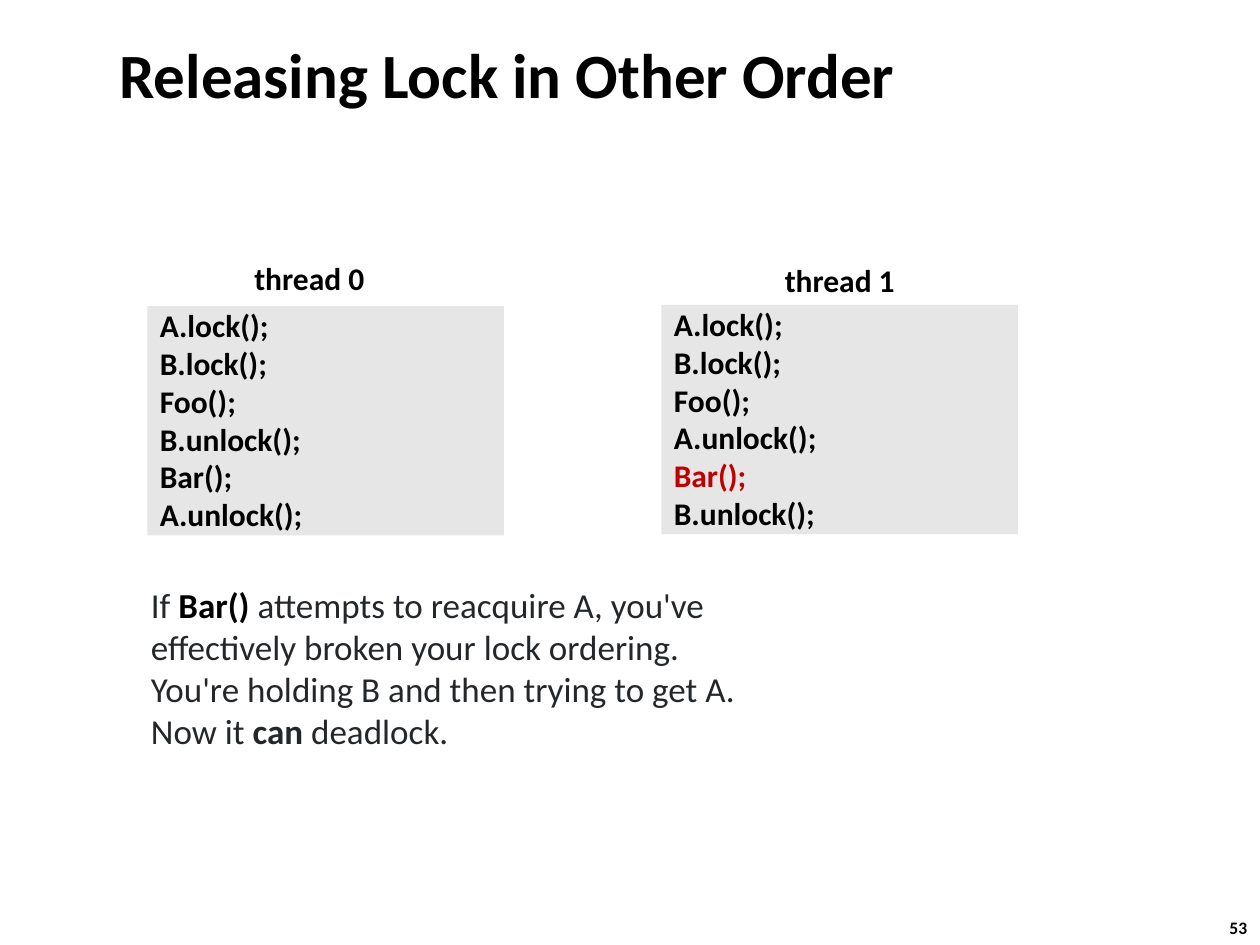
import pptx
import pptx.util
import pptx.dml.color
import pptx.enum.shapes
import pptx.enum.text

Inches = pptx.util.Inches
BLACK, GRAY, RED, DARK = "000000", "E6E6E6", "C00000", "242729"


def color(code):
    return pptx.dml.color.RGBColor.from_string(code)


def style(run, size, code=BLACK, bold=True):
    font = run.font
    font.name = "Calibri"
    font.size = pptx.util.Pt(size)
    font.bold = bold
    font.color.rgb = color(code)


def add_text(slide, box, text, size, wrap=False):
    """Add a text box holding one bold black paragraph."""
    frame = slide.shapes.add_textbox(*map(Inches, box)).text_frame
    frame.word_wrap = wrap
    frame.text = text
    for run in frame.paragraphs[0].runs:
        style(run, size)
    return frame


def add_code(slide, left, top, lines, marked=None):
    """Add a gray panel of code, with one line marked in red."""
    panel = slide.shapes.add_shape(
        pptx.enum.shapes.MSO_SHAPE.RECTANGLE,
        Inches(left), Inches(top), Inches(2.83), Inches(1.82))
    panel.shadow.inherit = False
    panel.fill.solid()
    panel.fill.fore_color.rgb = color(GRAY)
    panel.line.fill.background()
    frame = panel.text_frame
    frame.word_wrap = True
    frame.margin_top = frame.margin_bottom = 0
    frame.vertical_anchor = pptx.enum.text.MSO_ANCHOR.TOP
    frame.text = "\n".join(lines)
    for para in frame.paragraphs:
        para.alignment = pptx.enum.text.PP_ALIGN.LEFT
        for run in para.runs:
            style(run, 18, RED if run.text == marked else BLACK)


def add_note(slide, box, parts):
    """Add a wrapped paragraph of (text, color, bold) parts."""
    frame = slide.shapes.add_textbox(*map(Inches, box)).text_frame
    frame.word_wrap = True
    for text, code, bold in parts:
        run = frame.paragraphs[0].add_run()
        run.text = text
        style(run, 20, code, bold)


def main():
    deck = pptx.Presentation()
    deck.slide_width, deck.slide_height = Inches(10), Inches(7.5)
    slide = deck.slides.add_slide(deck.slide_layouts[6])

    # Slide number and title
    add_text(slide, (9.66, 7.23, 0.37, 0.27), "53", 10)
    title = add_text(slide, (0.85, 0.17, 8.3, 0.83),
                     "Releasing Lock in Other Order", 36, wrap=True)
    title.vertical_anchor = pptx.enum.text.MSO_ANCHOR.MIDDLE

    # Code of the two threads
    start = ["A.lock();", "B.lock();", "Foo();"]
    add_code(slide, 1.17, 2.43,
             start + ["B.unlock();", "Bar();", "A.unlock();"])
    add_code(slide, 5.25, 2.42,
             start + ["A.unlock();", "Bar();", "B.unlock();"], "Bar();")

    # Explanation
    add_note(slide, (1.1, 4.58, 5, 1.45), [
        ("If ", DARK, False),
        ("Bar()", BLACK, True),
        (" attempts to reacquire A, you've effectively broken your lock "
         "ordering. You're holding B and then trying to get A. Now it ",
         DARK, False),
        ("can", DARK, True),
        (" deadlock.", DARK, False),
    ])

    # Thread labels
    add_text(slide, (1.92, 2.01, 1.08, 0.4), "thread 0", 18)
    add_text(slide, (6.13, 2.02, 1.08, 0.4), "thread 1", 18)

    deck.save("out.pptx")


if __name__ == "__main__":
    main()
